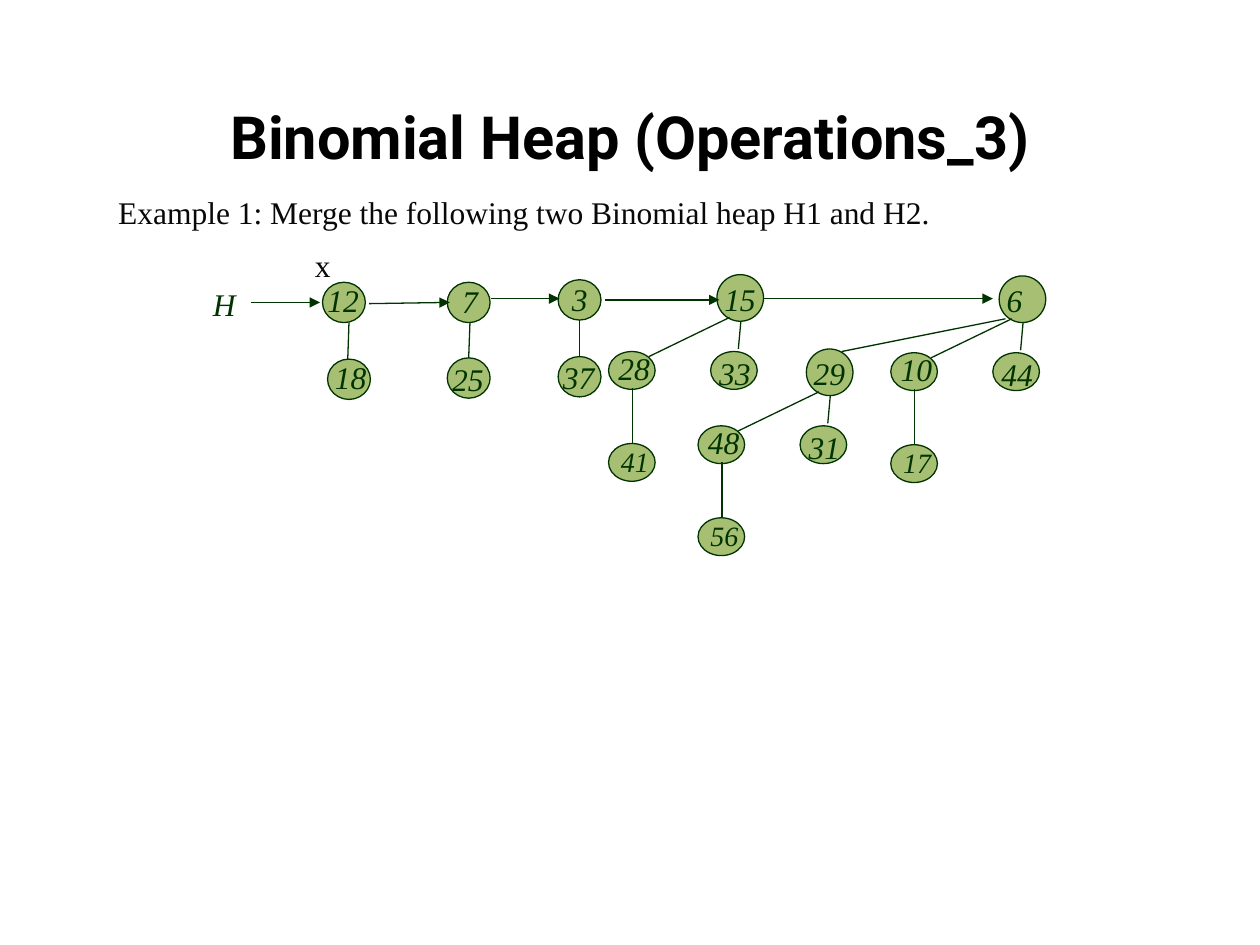
from dataclasses import dataclass

from lxml import etree
from pptx import Presentation
from pptx import util as u
from pptx.dml.color import RGBColor
from pptx.enum import shapes, text
from pptx.oxml import ns

TITLE = "Binomial Heap (Operations_3)"
EXAMPLE = "Example 1: Merge the following two Binomial heap H1 and H2."

PAIRS = [
    {"root": ("12", 2.56, 2.24, -0.06, -0.06), "child": ("18", 2.60, 2.85, -0.04, -0.06),
     "edge": (2.77, 2.76)},
    {"root": ("7", 3.55, 2.24, 0.02, -0.05), "child": ("25", 3.55, 2.84, -0.06, -0.03),
     "edge": (3.73, 3.72)},
    {"root": ("3", 4.43, 2.22, 0.01, -0.05), "child": ("37", 4.43, 2.83, -0.06, -0.04),
     "edge": (4.60, 4.60)},
]
TREES = [
    ((5.69, 2.18), ("15", "28", "33", "41")),
    ((7.93, 2.19), ("6", "10", "44", "17")),
    ((6.40, 2.77), ("29", "48", "31", "56")),
]
ARROWS = [
    ((1.99, 2.40), (2.54, 2.40)),
    ((2.93, 2.41), (3.57, 2.40)),
    ((3.90, 2.37), (4.44, 2.37)),
    ((4.80, 2.38), (5.71, 2.38)),
    ((6.06, 2.37), (7.88, 2.37)),
]
SUBTREE_LINK = ((6.68, 2.79), (7.98, 2.53))


@dataclass(frozen=True)
class Theme:
    title_font: str = "Roboto"
    body_font: str = "Times New Roman"
    title_size: int = 34
    body_size: int = 18
    leaf_size: int = 16
    line_width: float = 0.75
    title_color: RGBColor = RGBColor.from_string("000000")
    body_color: RGBColor = RGBColor.from_string("080808")
    ink: RGBColor = RGBColor.from_string("003300")
    node: RGBColor = RGBColor.from_string("A6BF73")


theme = Theme()
PAIR_SIZE = (0.34, 0.32)
ROOT_SIZE = (0.37, 0.37)
CHILD_SIZE = (0.37, 0.30)
TREE_NODES = [
    ((0, 0), ROOT_SIZE, (-0.04, -0.01), theme.body_size),
    ((-0.86, 0.61), CHILD_SIZE, (-0.02, -0.07), theme.body_size),
    ((-0.05, 0.61), CHILD_SIZE, (-0.03, -0.03), theme.body_size),
    ((-0.86, 1.34), CHILD_SIZE, (0, -0.04), theme.leaf_size),
]
TREE_EDGES = [
    ((0.10, 0.34), (-0.54, 0.65)),
    ((0.19, 0.37), (0.17, 0.59)),
    ((-0.67, 0.90), (-0.67, 1.34)),
]


def shift(origin, offset):
    return origin[0] + offset[0], origin[1] + offset[1]


def inches(*values):
    return [u.Inches(round(value, 2)) for value in values]


def add_run(paragraph, content, font_name, size, color, bold=False, italic=False):
    run = paragraph.add_run()
    run.text = content
    font = run.font
    font.name, font.size, font.bold, font.italic = font_name, u.Pt(size), bold, italic
    font.color.rgb = color


def add_text(slide, content, position, size, color=theme.ink, italic=True,
             font_size=theme.body_size):
    box = slide.shapes.add_textbox(*inches(*position, *size))
    box.text_frame.word_wrap = True
    paragraph = box.text_frame.paragraphs[0]
    add_run(paragraph, content, theme.body_font, font_size, color, italic=italic)
    return paragraph


def add_line(slide, start, end, arrow=False):
    line = slide.shapes.add_connector(shapes.MSO_CONNECTOR.STRAIGHT, *inches(*start, *end))
    line.line.color.rgb = theme.ink
    line.line.width = u.Pt(theme.line_width)
    properties = line.line._get_or_add_ln()
    if arrow:
        etree.SubElement(properties, ns.qn("a:tailEnd"), type="triangle")
    etree.SubElement(properties.getparent(), ns.qn("a:effectLst"))


def add_node(slide, label, position, size, label_offset, font_size=theme.body_size):
    ellipse = slide.shapes.add_shape(shapes.MSO_SHAPE.OVAL, *inches(*position, *size))
    ellipse.shadow.inherit = False
    ellipse.fill.solid()
    ellipse.fill.fore_color.rgb = theme.node
    ellipse.line.color.rgb = theme.ink
    ellipse.line.width = u.Pt(theme.line_width)
    add_text(slide, label, shift(position, label_offset), (0.5, 0.4), font_size=font_size)


def add_pair(slide, pair):
    for label, left, top, label_x, label_y in (pair["root"], pair["child"]):
        add_node(slide, label, (left, top), PAIR_SIZE, (label_x, label_y))
    start_x, end_x = pair["edge"]
    add_line(slide, (start_x, pair["root"][2] + PAIR_SIZE[1]), (end_x, pair["child"][2]))


def add_tree(slide, origin, labels):
    for label, (offset, size, label_offset, font_size) in zip(labels, TREE_NODES):
        add_node(slide, label, shift(origin, offset), size, label_offset, font_size)
    for start, end in TREE_EDGES:
        add_line(slide, shift(origin, start), shift(origin, end))


def add_title(slide):
    title = slide.shapes.title
    title.left, title.top, title.width, title.height = inches(0.5, 0.68, 9, 0.79)
    frame = title.text_frame
    frame.vertical_anchor = text.MSO_ANCHOR.MIDDLE
    frame.auto_size = text.MSO_AUTO_SIZE.NONE
    paragraph = frame.paragraphs[0]
    paragraph.alignment = text.PP_ALIGN.CENTER
    add_run(paragraph, TITLE, theme.title_font, theme.title_size, theme.title_color, bold=True)


def main():
    presentation = Presentation()
    presentation.slide_width, presentation.slide_height = inches(10, 7.5)
    slide = presentation.slides.add_slide(presentation.slide_layouts[5])
    add_title(slide)
    example = add_text(slide, EXAMPLE, (0.84, 1.48), (7.86, 0.62), theme.body_color, False)
    example.alignment = text.PP_ALIGN.JUSTIFY
    for pair in PAIRS:
        add_pair(slide, pair)
    for origin, labels in TREES:
        add_tree(slide, origin, labels)
    add_line(slide, *SUBTREE_LINK)
    for start, end in ARROWS:
        add_line(slide, start, end, arrow=True)
    add_text(slide, "H", (1.59, 2.21), (0.61, 0.4))
    marker = add_text(slide, "x", (2.4, 1.94), (0.36, 0.37), theme.body_color, False)
    marker.line_spacing = 0.9
    presentation.save("out.pptx")


if __name__ == "__main__":
    main()
